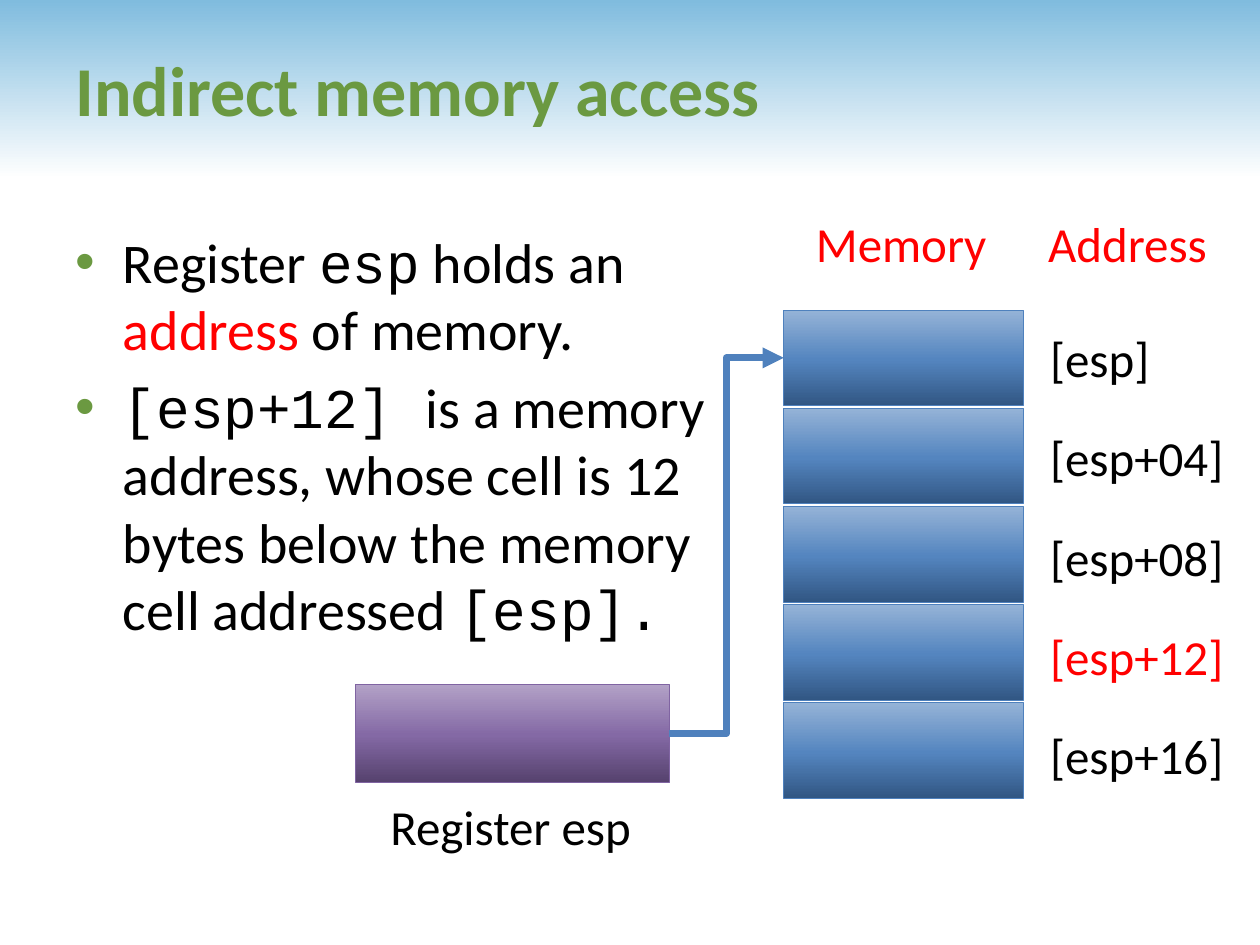
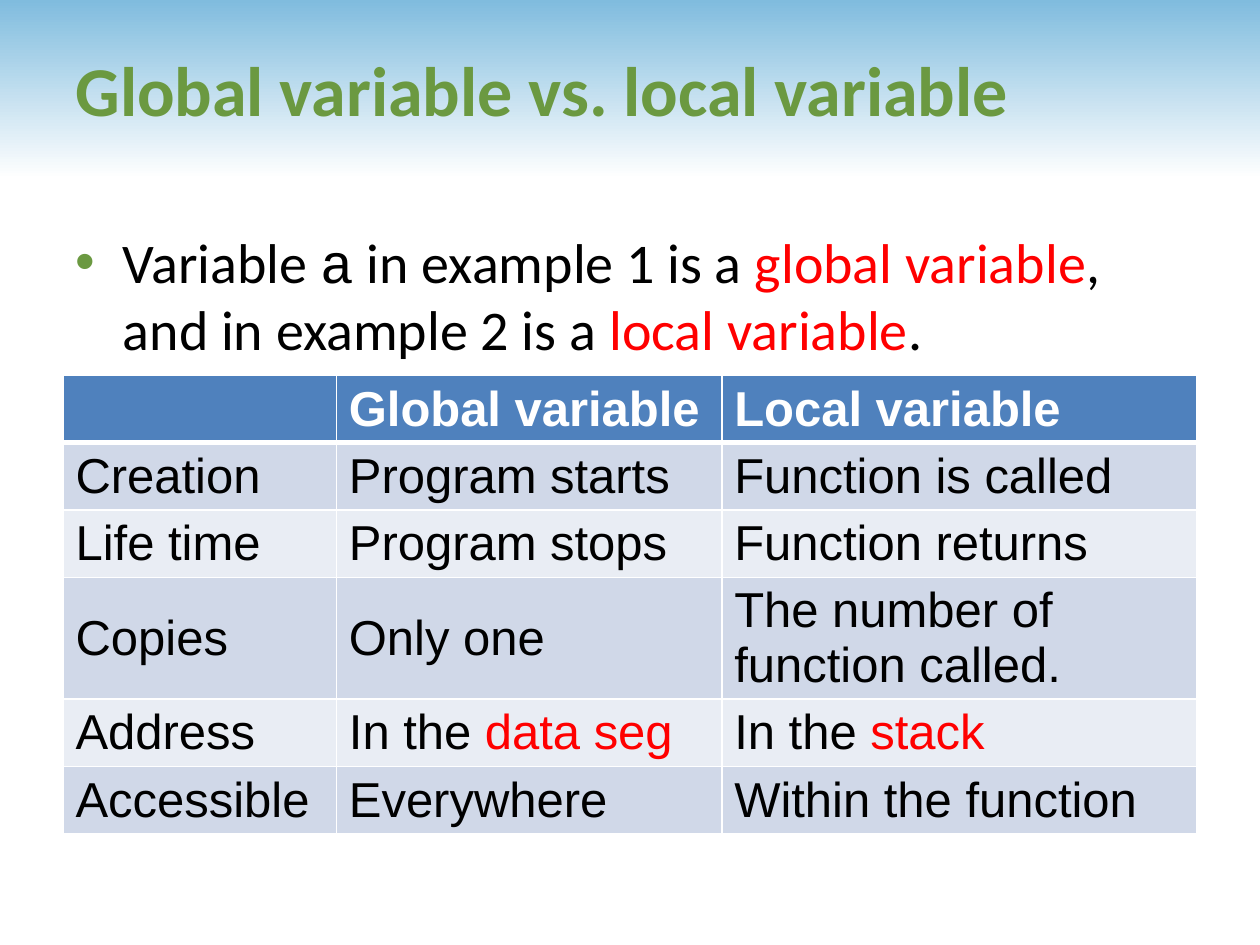
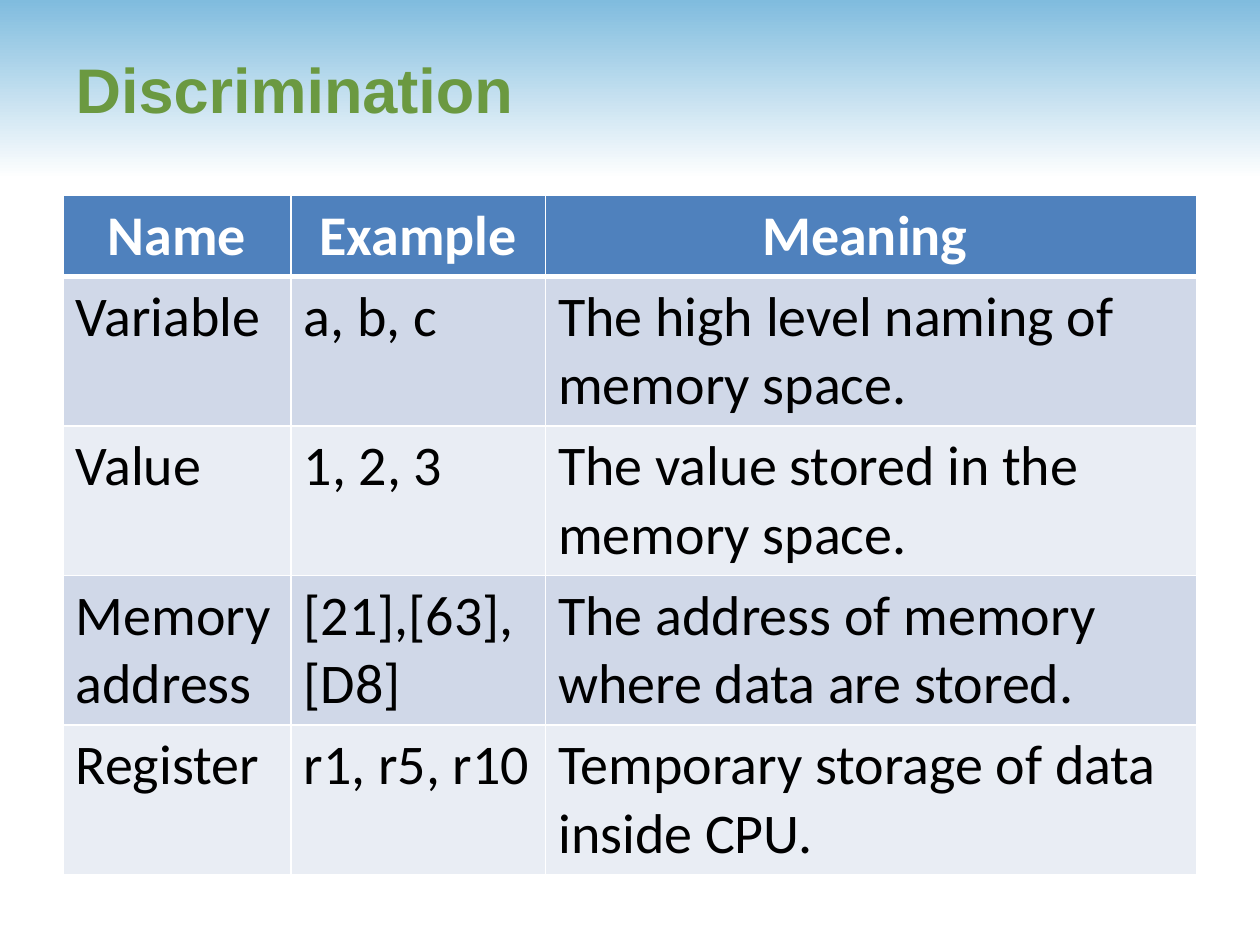
from copy import deepcopy

from lxml import etree
from pptx import Presentation
from pptx.dml import color as dml
from pptx.enum import shapes, text
from pptx.oxml import ns
from pptx.util import Cm, Pt

GREEN, RED, BLACK, WHITE = "6B9941", "FF0000", "000000", "FFFFFF"
BLUE, PURPLE = "4F81BD", "8064A2"
BAND = [(0, "80BCDE"), (100, "FFFFFF")]
BLUE_SHADES = [(0, "315683"), (48, "5485BF"), (100, "95B3D7")]
PURPLE_SHADES = [(0, "56426E"), (48, "8469A5"), (100, "B3A2C7")]
ROW_FILLS = ["D0D8E8", "E9EDF4"]
SANS, ARIAL, MONO = "Calibri", "Arial", "Courier New"
CODE, KEY = {"font": MONO}, {"color": RED}
TITLE_ONLY, TITLE_AND_BODY = 5, 1


def rgb(value):
    return dml.RGBColor.from_string(value)


def child(parent, tag, **attributes):
    return etree.SubElement(parent, ns.qn(tag), attributes)


def style_run(run, size=28, font=SANS, color=BLACK, bold=False):
    run.font.size, run.font.name, run.font.bold = Pt(size), font, bold
    run.font.color.rgb = rgb(color)


def write(frame, paragraphs, **style):
    """Fill a frame; a paragraph is a string or a list of (text, style change) spans."""
    for index, content in enumerate(paragraphs):
        para = frame.add_paragraph() if index else frame.paragraphs[0]
        if isinstance(content, str):
            para.text = content
            for run in para.runs:
                style_run(run, **style)
        else:
            for span, change in content:
                run = para.add_run()
                run.text = span
                style_run(run, **{**style, **change})


def shade(shape, stops, angle):
    """Give a gradient; the angle runs counter-clockwise from the left-right direction."""
    fill = shape.fill
    fill.gradient()
    fill.gradient_angle = angle
    stop_list = shape.element.spPr.find(".//" + ns.qn("a:gsLst"))
    for _ in stops[2:]:
        stop_list.append(deepcopy(stop_list[0]))
    for stop, (position, value) in zip(fill.gradient_stops, stops):
        stop.position = position / 100
        stop.color.rgb = rgb(value)


def border(cell, **widths):
    """Draw white cell edges, widths in points, given in the order L, R, T, B."""
    properties = cell._tc.get_or_add_tcPr()
    for side, width in widths.items():
        edge = child(properties, "a:ln" + side, w=str(Pt(width)))
        child(child(edge, "a:solidFill"), "a:srgbClr", val=WHITE)


class Deck:
    def __init__(self):
        self.file = Presentation()
        self.file.slide_width, self.file.slide_height = Cm(25.4), Cm(19.05)
        self.page = None

    def add_page(self, layout, title, size=40, font=SANS):
        self.page = self.file.slides.add_slide(self.file.slide_layouts[layout])
        if len(self.file.slides) == 1:
            self.add_master_band()
        box = self.page.shapes.title
        self.place(box, 1.27, 0.2, 23.06, 3.18)
        frame = box.text_frame
        frame.vertical_anchor = text.MSO_ANCHOR.MIDDLE
        write(frame, [title], size=size, font=font, color=GREEN, bold=True)
        frame.paragraphs[0].alignment = text.PP_ALIGN.LEFT

    def add_master_band(self):
        """Build the top band and move it to the back of the slide master."""
        band = self.rectangle(0, 0, 25.4, 3.61, BAND, 270,
                              kind=shapes.MSO_SHAPE.PENTAGON)
        band.adjustments[0] = 0
        band.element.spPr.find(ns.qn("a:xfrm")).set("flipH", "1")
        self.file.slide_master.shapes.element.insert(2, band.element)

    def place(self, box, left, top, width, height):
        box.left, box.top, box.width, box.height = map(Cm, (left, top, width, height))
        box.text_frame.word_wrap = True
        box.text_frame.auto_size = text.MSO_AUTO_SIZE.NONE

    def bullets(self, paragraphs, width, height):
        box = self.page.placeholders[1]
        self.place(box, 1.27, 4.45, width, height)
        write(box.text_frame, paragraphs, size=32)
        for para in box.text_frame.paragraphs:
            properties = para._p.get_or_add_pPr()
            child(child(properties, "a:buClr"), "a:srgbClr", val=GREEN)

    def rectangle(self, left, top, width, height, stops, angle=90, line=None,
                  kind=shapes.MSO_SHAPE.RECTANGLE):
        shape = self.page.shapes.add_shape(kind, *map(Cm, (left, top, width, height)))
        shape.shadow.inherit = False
        shade(shape, stops, angle)
        if line:
            shape.line.color.rgb = rgb(line)
            shape.line.width = Pt(0.5)
        else:
            shape.line.fill.background()
        return shape

    def label(self, content, left, top, width, color=BLACK):
        box = self.page.shapes.add_textbox(*map(Cm, (left, top, width, 1.45)))
        box.text_frame.word_wrap = False
        box.text_frame.auto_size = text.MSO_AUTO_SIZE.SHAPE_TO_FIT_TEXT
        write(box.text_frame, [content], color=color)

    def elbow_arrow(self, source, target):
        """Join the right side of one rectangle to the left side of another."""
        arrow = self.page.shapes.add_connector(shapes.MSO_CONNECTOR.ELBOW, 0, 0, 0, 0)
        arrow.begin_connect(source, 3)
        arrow.end_connect(target, 1)
        arrow.line.color.rgb = rgb(BLUE)
        arrow.line.width = Pt(4)
        child(arrow.line._get_or_add_ln(), "a:tailEnd", type="triangle")
        child(arrow.element.spPr, "a:effectLst")

    def table(self, rows, top, widths, centre_header=False, middle_row=None, **style):
        row_height = 1.04
        table = self.page.shapes.add_table(
            len(rows), len(widths), Cm(1.27), Cm(top),
            Cm(sum(widths)), Cm(row_height * len(rows))).table
        for column, width in zip(table.columns, widths):
            column.width = Cm(width)
        for r, row in enumerate(rows):
            table.rows[r].height = Cm(row_height)
            header = r == 0
            for c, content in enumerate(row):
                cell = table.cell(r, c)
                border(cell, L=1, R=1, T=3 if r == 1 else 1, B=3 if header else 1)
                cell.fill.solid()
                cell.fill.fore_color.rgb = rgb(BLUE if header else ROW_FILLS[(r - 1) % 2])
                paragraphs = content.split("\n") if isinstance(content, str) else [content]
                write(cell.text_frame, paragraphs, bold=header,
                      color=WHITE if header else BLACK, **style)
                if header and centre_header:
                    cell.text_frame.paragraphs[0].alignment = text.PP_ALIGN.CENTER
                if r == middle_row:
                    cell.vertical_anchor = text.MSO_ANCHOR.MIDDLE


def memory_access(deck):
    deck.add_page(TITLE_AND_BODY, "Indirect memory access")
    deck.bullets([
        [("Register ", {}), ("esp", CODE), (" holds an ", {}),
         ("address", KEY), (" of memory.", {})],
        [("[esp+12] ", CODE),
         ("is a memory address, whose cell is 12 bytes below the memory cell addressed ", {}),
         ("[esp].", CODE)],
    ], 13.51, 12.57)
    memory = [deck.rectangle(15.8, 6.25 + 1.98 * i, 4.83, 1.93, BLUE_SHADES, line=BLUE)
              for i in range(5)]
    addresses = ["[esp]", "[esp+04]", "[esp+08]", "[esp+12]", "[esp+16]"]
    for i, address in enumerate(addresses):
        deck.label(address, 20.92, 6.5 + 2 * i, 4.06 if i else 2.54,
                   RED if address == "[esp+12]" else BLACK)
    register = deck.rectangle(7.16, 13.79, 6.33, 1.98, PURPLE_SHADES, line=PURPLE)
    deck.elbow_arrow(register, memory[0])
    deck.label("Register esp", 7.62, 15.93, 5.41)
    deck.label("Memory", 16.2, 4.17, 4.09, RED)
    deck.label("Address", 20.88, 4.17, 3.76, RED)


def variable_scopes(deck):
    deck.add_page(TITLE_AND_BODY, "Global variable vs. local variable")
    deck.bullets([
        [("Variable ", {}), ("a", CODE), (" in example 1 is a ", {}),
         ("global variable", KEY), (", and in example 2 is a ", {}),
         ("local variable", KEY), (".", {})],
    ], 23.06, 11.43)
    deck.table([
        ["", "Global variable", "Local variable"],
        ["Creation", "Program starts", "Function is called"],
        ["Life time", "Program stops", "Function returns"],
        ["Copies", "Only one", "The number of function called."],
        ["Address", [("In the ", {}), ("data seg", KEY)], [("In the ", {}), ("stack", KEY)]],
        ["Accessible", "Everywhere", "Within the function"],
    ], 7.57, [5.51, 7.77, 9.58], middle_row=3, font=ARIAL)


def discrimination(deck):
    deck.add_page(TITLE_ONLY, "Discrimination", size=36, font=ARIAL)
    deck.table([
        ["Name", "Example", "Meaning "],
        ["Variable", "a, b, c", "The high level naming of memory space."],
        ["Value", "1, 2, 3", "The value stored in the memory space."],
        ["Memory\naddress", "[21],[63],\v[D8]", "The address of memory where data are stored."],
        ["Register", "r1, r5, r10", "Temporary storage of data inside CPU."],
    ], 3.94, [4.6, 5.13, 13.13], centre_header=True, size=32)


def main():
    deck = Deck()
    memory_access(deck)
    variable_scopes(deck)
    discrimination(deck)
    deck.file.save("out.pptx")


if __name__ == "__main__":
    main()
